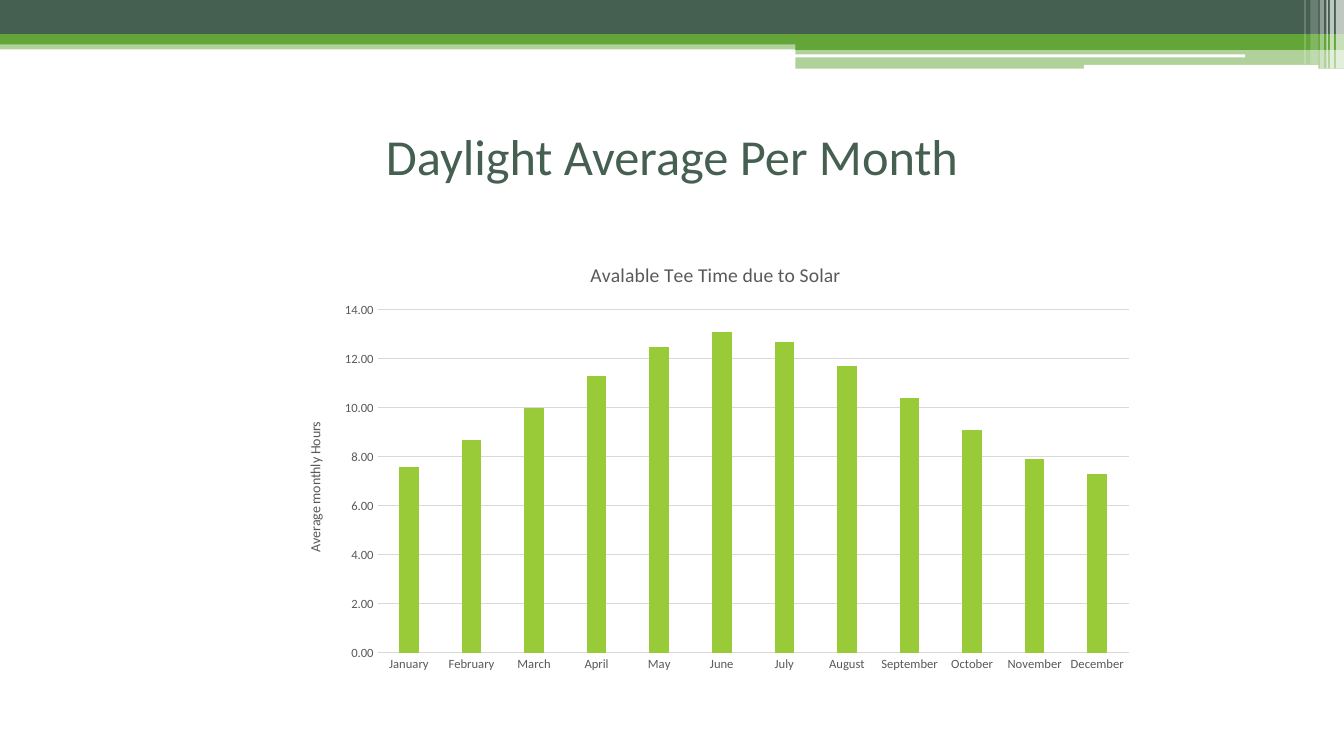
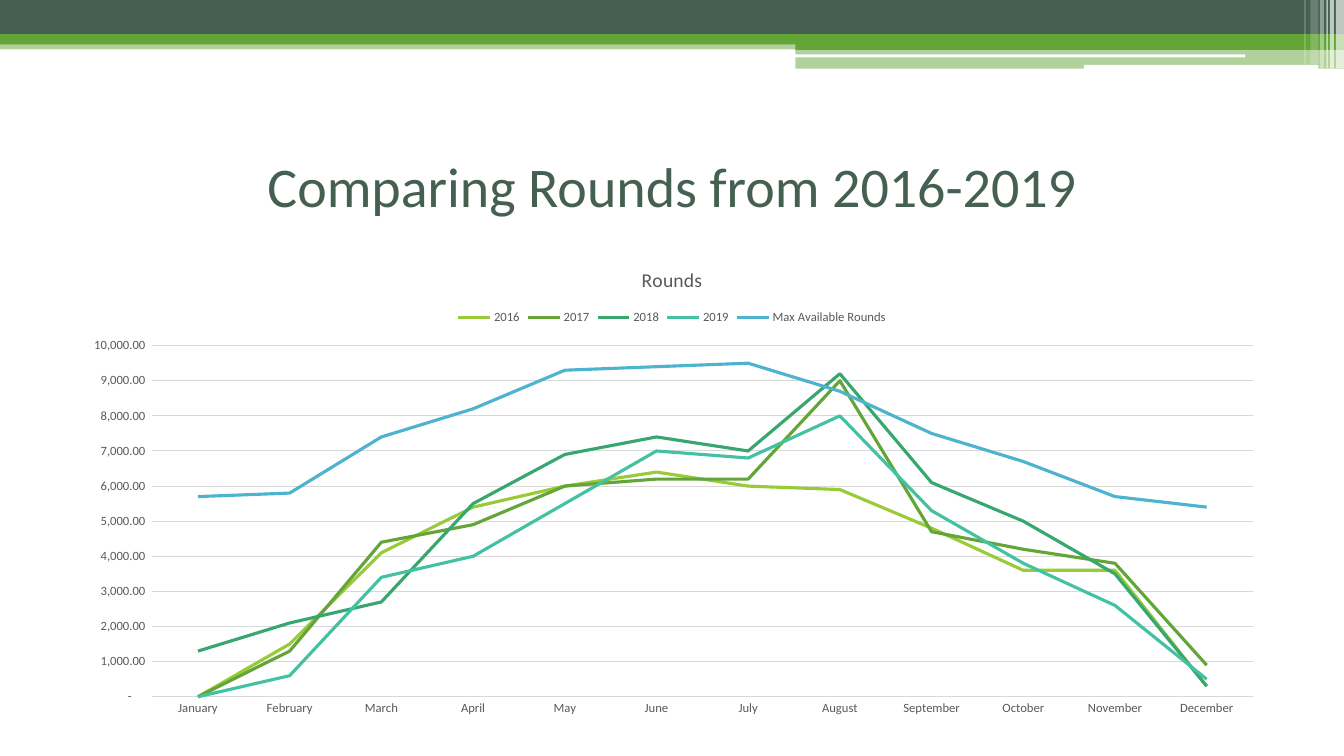
from lxml import etree
from pptx import Presentation
from pptx.chart.data import CategoryChartData
from pptx.dml.color import RGBColor
from pptx.enum.chart import XL_CHART_TYPE, XL_LEGEND_POSITION, XL_TICK_MARK
from pptx.enum.shapes import MSO_SHAPE
from pptx.enum.text import MSO_ANCHOR, PP_ALIGN
from pptx.oxml.ns import qn
from pptx.util import Inches, Pt

RECT, ROUND = MSO_SHAPE.RECTANGLE, MSO_SHAPE.ROUNDED_RECTANGLE
BARS, LINES = XL_CHART_TYPE.COLUMN_CLUSTERED, XL_CHART_TYPE.LINE
TOP, NO_TICK = XL_LEGEND_POSITION.TOP, XL_TICK_MARK.NONE
MIDDLE, CENTER = MSO_ANCHOR.MIDDLE, PP_ALIGN.CENTER

FONT = "Calibri"
DARK, GREEN, WHITE = "455F51", "63A537", "FFFFFF"
LIME, JADE, MINT, BLUE = "99CB38", "37A76F", "44C1A3", "4EB3CF"
GRAY, PALE = "595959", "D9D9D9"

WIDE, HIGH = Inches(13.33), Inches(7.5)
PAGE = (0, 0, WIDE, HIGH)
HEAD = (0, 0, 100, 9.07)

BANDS = [
    (RECT, (0, 58.8, 100, 13.2), GREEN, 50),
    (RECT, (0, 0, 100, 50), DARK, 100),
    (RECT, (0, 50, 100, 14.7), GREEN, 100),
    (RECT, (59.19, 57.4, 40.81, 15.4), GREEN, 100),
    (RECT, (59.19, 71, 40.81, 29), GREEN, 50),
    (ROUND, (59.15, 79.4, 33.5, 4.4), WHITE, 100),
    (ROUND, (80.65, 94.5, 17.45, 5.9), WHITE, 100),
]
STRIPES = [
    (99.4, 0.6, 100, 65),
    (98.95, 0.3, 100, 65),
    (98.7, 0.1, 100, 60),
    (98.2, 0.3, 100, 40),
    (97.5, 0.6, 94.1, 20),
    (97.05, 0.1, 94.1, 30),
]

MONTHS = ["January", "February", "March", "April", "May", "June", "July",
          "August", "September", "October", "November", "December"]
HOURS = [
    ("Series 1", LIME, [7.6, 8.7, 10, 11.3, 12.5, 13.1,
                        12.7, 11.7, 10.4, 9.1, 7.9, 7.3]),
]
ROUNDS = [
    ("2016", LIME, [0, 1500, 4100, 5400, 6000, 6400,
                    6000, 5900, 4800, 3600, 3600, 300]),
    ("2017", GREEN, [0, 1300, 4400, 4900, 6000, 6200,
                     6200, 9000, 4700, 4200, 3800, 900]),
    ("2018", JADE, [1300, 2100, 2700, 5500, 6900, 7400,
                    7000, 9200, 6100, 5000, 3500, 300]),
    ("2019", MINT, [0, 600, 3400, 4000, 5500, 7000,
                    6800, 8000, 5300, 3800, 2600, 500]),
    ("Max Available Rounds", BLUE, [5700, 5800, 7400, 8200, 9300, 9400,
                                    9500, 8700, 7500, 6700, 5700, 5400]),
]
COUNT = r'_(* #,##0.00_);_(* \(#,##0.00\);_(* "-"??_);_(@_)'


def tint(code):
    """Turn a hex string into a colour."""
    return RGBColor.from_string(code)


def part(box, share):
    """Return the part of a box given by percent shares."""
    left, top, width, height = box
    x, y, w, h = (n / 100 for n in share)
    return (round(left + x * width), round(top + y * height),
            round(w * width), round(h * height))


def style(font, size, code):
    """Set the face, size and colour of a font."""
    font.name, font.size, font.bold = FONT, Pt(size), False
    font.color.rgb = tint(code)


def write(frame, text, size, code):
    """Add one styled run to the first paragraph of a frame."""
    line = frame.paragraphs[0]
    run = line.add_run()
    run.text = text
    style(run.font, size, code)
    return line


def block(slide, kind, box, code, alpha):
    """Add a plain filled shape."""
    shape = slide.shapes.add_shape(kind, *box)
    shape.shadow.inherit = False
    shape.fill.solid()
    shape.fill.fore_color.rgb = tint(code)
    shape.line.fill.background()
    if alpha < 100:
        color = shape.element.find(".//" + qn("a:srgbClr"))
        etree.SubElement(color, qn("a:alpha"), val=str(alpha * 1000))


def header(slide, box):
    """Draw the bands and the fading stripes in a box."""
    for kind, share, code, alpha in BANDS:
        block(slide, kind, part(box, share), code, alpha)
    for x, w, h, alpha in STRIPES:
        block(slide, RECT, part(box, (x, 0, w, h)), WHITE, alpha)


def title(slide, box, text, size):
    """Write the slide title in the middle of a box."""
    frame = slide.shapes.add_textbox(*box).text_frame
    frame.word_wrap = True
    frame.vertical_anchor = MIDDLE
    write(frame, text, size, DARK).alignment = CENTER


def rule(line, code):
    """Set a thin chart line."""
    line.color.rgb = tint(code)
    line.width = Pt(0.75)


def axes(chart, peak, step, form):
    """Style both axes of a chart."""
    months, scale = chart.category_axis, chart.value_axis
    for axis in (months, scale):
        axis.major_tick_mark = axis.minor_tick_mark = NO_TICK
        style(axis.tick_labels.font, 9, GRAY)
    rule(months.format.line, PALE)
    scale.format.line.fill.background()
    scale.has_major_gridlines = True
    rule(scale.major_gridlines.format.line, PALE)
    scale.minimum_scale, scale.maximum_scale = 0, peak
    scale.major_unit = step
    scale.tick_labels.number_format = form
    scale.tick_labels.number_format_is_linked = False


def graph(slide, box, kind, name, rows, peak, step, form):
    """Add a monthly chart with its title and axes."""
    data = CategoryChartData()
    data.categories = MONTHS
    for label, _, values in rows:
        data.add_series(label, values)
    chart = slide.shapes.add_chart(kind, *box, data).chart
    style(chart.font, 10, GRAY)
    chart.has_title = True
    write(chart.chart_title.text_frame, name, 14, GRAY)
    chart.chart_title.include_in_layout = False
    chart.has_legend = False
    chart.plots[0].vary_by_categories = False
    axes(chart, peak, step, form)
    return chart


def bars(slide, box):
    """Draw the daylight columns."""
    chart = graph(slide, box, BARS, "Avalable Tee Time due to Solar",
                  HOURS, 14, 2, "0.00")
    plot = chart.plots[0]
    plot.gap_width, plot.overlap = 219, -27
    for row, (_, code, _) in zip(plot.series, HOURS):
        row.format.fill.solid()
        row.format.fill.fore_color.rgb = tint(code)
    label = chart.value_axis.axis_title.text_frame
    write(label, "Average monthly Hours", 10, GRAY)


def lines(slide, box):
    """Draw the yearly lines of rounds."""
    chart = graph(slide, box, LINES, "Rounds", ROUNDS, 10000, 1000, COUNT)
    chart.has_legend = True
    chart.legend.position = TOP
    chart.legend.include_in_layout = False
    style(chart.legend.font, 9, GRAY)
    for row, (_, code, _) in zip(chart.plots[0].series, ROUNDS):
        row.smooth = False
        row.format.line.color.rgb = tint(code)
        row.format.line.width = Pt(2.25)


def page(deck, text, size, top, draw, share):
    """Add a slide with the header, a title and one chart."""
    slide = deck.slides.add_slide(deck.slide_layouts[6])
    header(slide, part(PAGE, HEAD))
    title(slide, part(PAGE, (5, top, 90, 15.6)), text, size)
    draw(slide, part(PAGE, share))


def main():
    """Build and save the deck."""
    deck = Presentation()
    deck.slide_width, deck.slide_height = WIDE, HIGH
    page(deck, "Daylight Average Per Month", 36, 12.7,
         bars, (21.25, 32.25, 64, 57.75))
    page(deck, "Comparing Rounds from 2016-2019", 40, 16.67,
         lines, (5, 32.8, 90, 63.1))
    deck.save("out.pptx")


if __name__ == "__main__":
    main()
